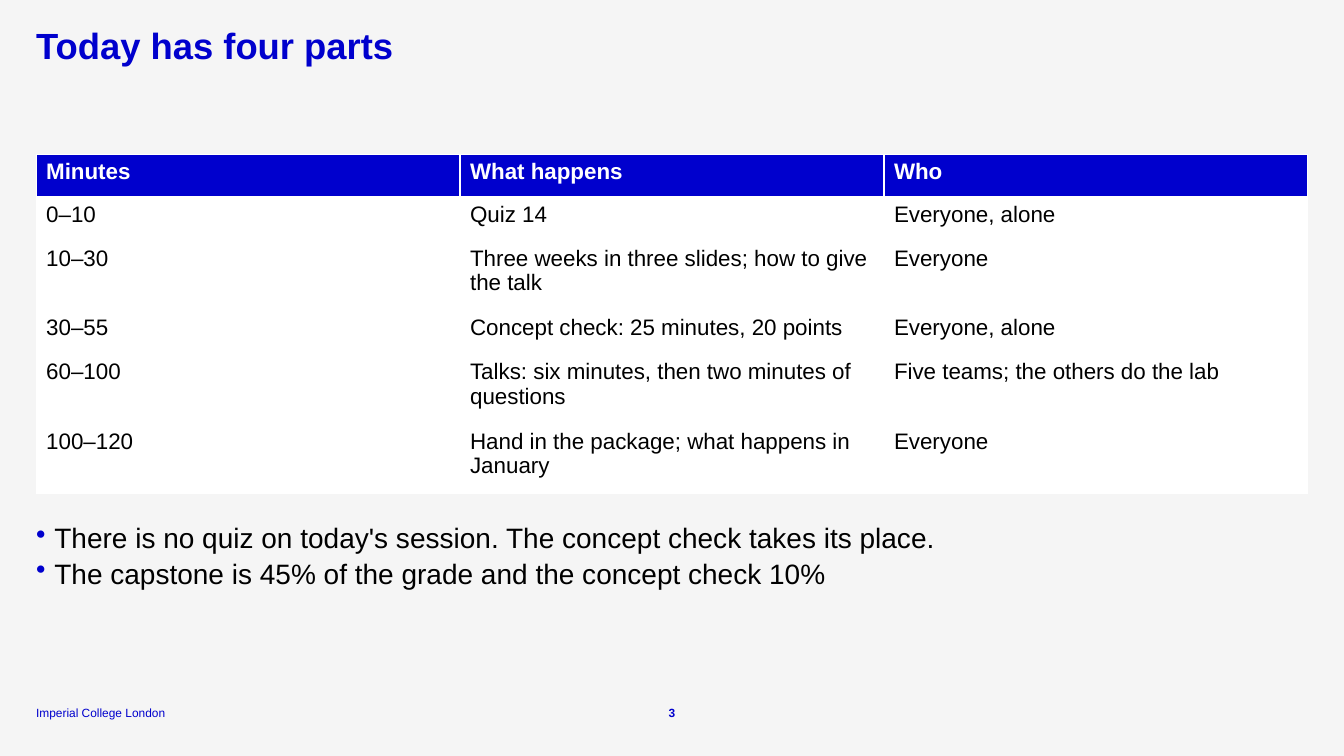
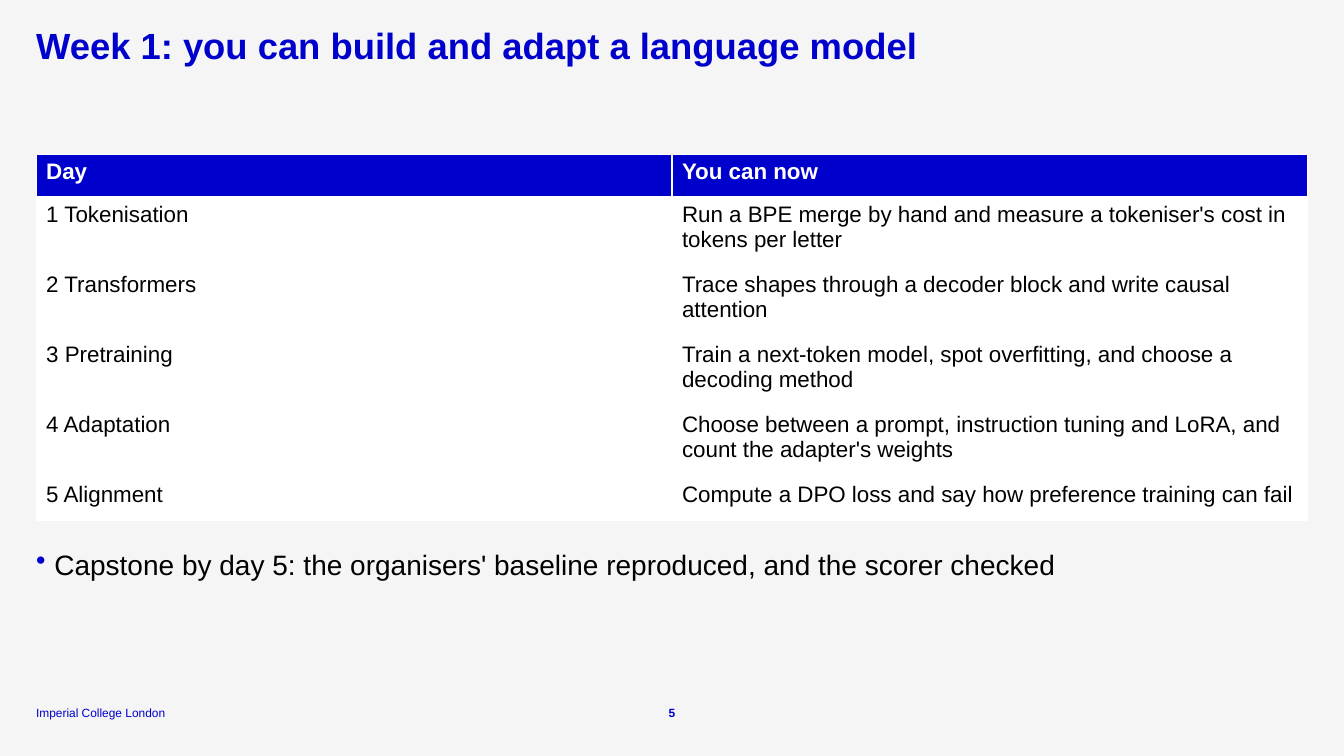
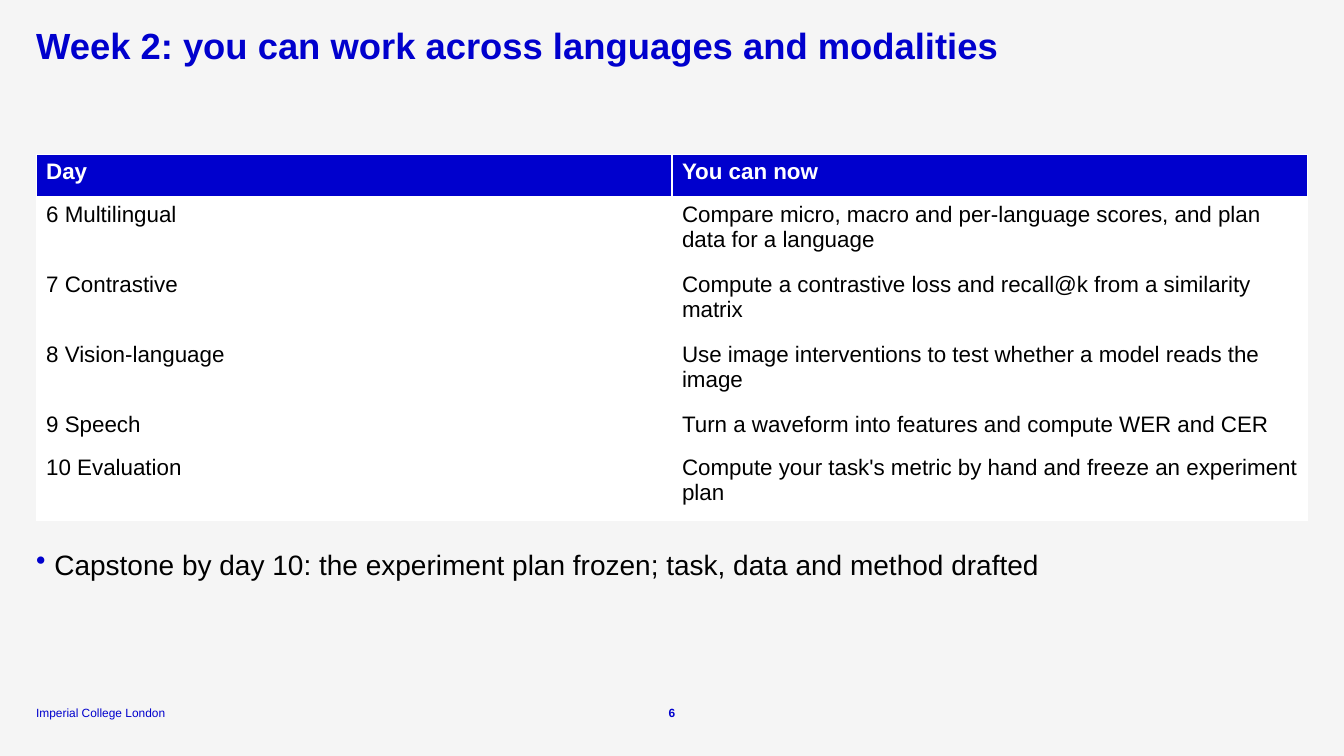
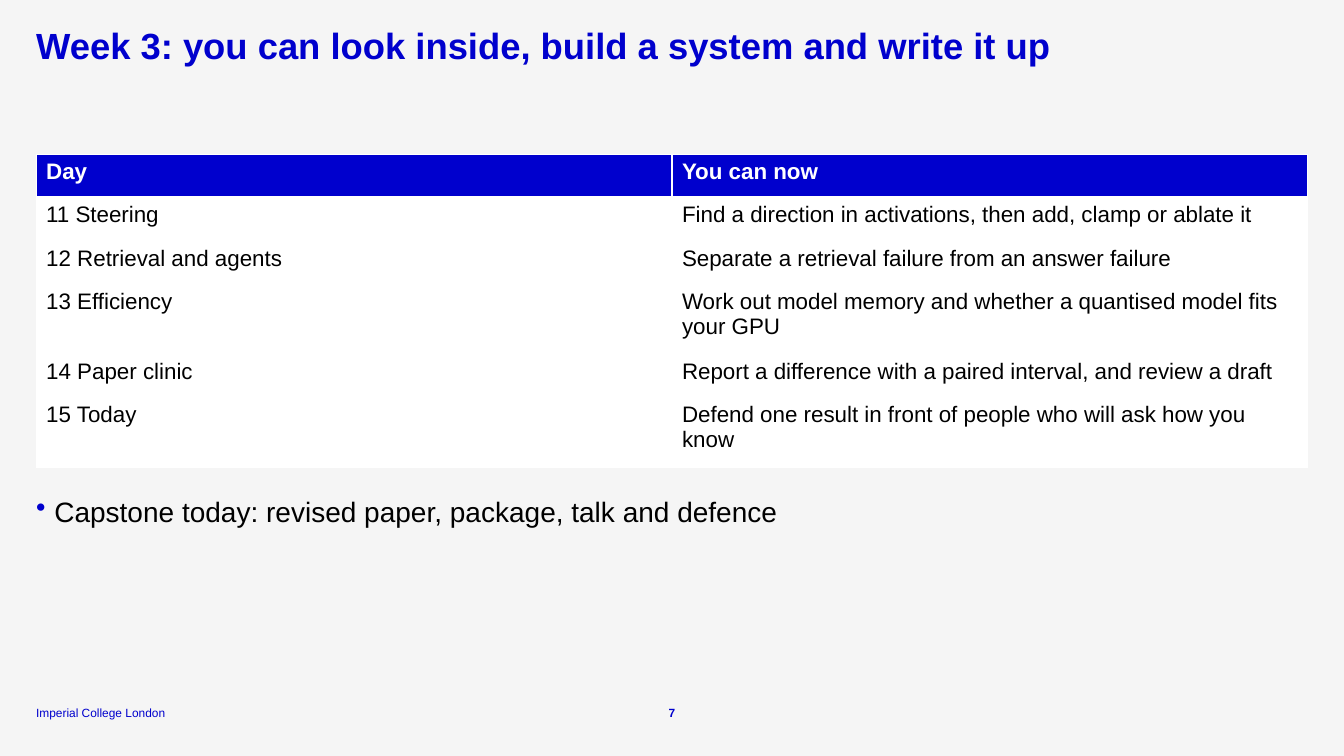
import pptx
import pptx.dml.color
import pptx.enum.text
import pptx.oxml
import pptx.oxml.ns
import pptx.util

Cm = pptx.util.Cm
Pt = pptx.util.Pt
ALIGN = pptx.enum.text.PP_ALIGN
ANCHOR = pptx.enum.text.MSO_ANCHOR

BLUE, BLACK, WHITE, PAPER = "0000CD", "000000", "FFFFFF", "F5F5F5"
FONT = "Arial"
FOOTER = "Imperial College London"

# Lengths in centimetres
SLIDE_WIDTH, SLIDE_HEIGHT = 33.87, 19.05
MARGIN, CONTENT_WIDTH = 0.91, 32.05
TITLE_TOP, TITLE_HEIGHT = 0.71, 1.04
TABLE_TOP, TABLE_GAP = 3.89, 0.64
ROW_HEIGHTS = {1: 1.09, 2: 1.76}
BULLET_HEIGHT, BULLET_INDENT = 1.25, 0.46
FOOTER_TOP, FOOTER_HEIGHT, FOOTER_WIDTH = 17.75, 0.38, 3.94
NUMBER_WIDTH = 0.89

# "lines" counts the text lines of each row below the header
SLIDES = [
    {
        "number": 3,
        "title": "Today has four parts",
        "header": ("Minutes", "What happens", "Who"),
        "rows": [
            ("0–10", "Quiz 14", "Everyone, alone"),
            ("10–30", "Three weeks in three slides; how to give the talk", "Everyone"),
            ("30–55", "Concept check: 25 minutes, 20 points", "Everyone, alone"),
            ("60–100", "Talks: six minutes, then two minutes of questions",
             "Five teams; the others do the lab"),
            ("100–120", "Hand in the package; what happens in January", "Everyone"),
        ],
        "lines": (1, 2, 1, 2, 2),
        "bullets": [
            "There is no quiz on today's session. The concept check takes its place.",
            "The capstone is 45% of the grade and the concept check 10%",
        ],
    },
    {
        "number": 5,
        "title": "Week 1: you can build and adapt a language model",
        "header": ("Day", "You can now"),
        "rows": [
            ("1 Tokenisation",
             "Run a BPE merge by hand and measure a tokeniser's cost in tokens per letter"),
            ("2 Transformers",
             "Trace shapes through a decoder block and write causal attention"),
            ("3 Pretraining",
             "Train a next-token model, spot overfitting, and choose a decoding method"),
            ("4 Adaptation",
             "Choose between a prompt, instruction tuning and LoRA, "
             "and count the adapter's weights"),
            ("5 Alignment",
             "Compute a DPO loss and say how preference training can fail"),
        ],
        "lines": (2, 2, 2, 2, 1),
        "bullets": [
            "Capstone by day 5: the organisers' baseline reproduced, and the scorer checked",
        ],
    },
    {
        "number": 6,
        "title": "Week 2: you can work across languages and modalities",
        "header": ("Day", "You can now"),
        "rows": [
            ("6 Multilingual",
             "Compare micro, macro and per-language scores, and plan data for a language"),
            ("7 Contrastive",
             "Compute a contrastive loss and recall@k from a similarity matrix"),
            ("8 Vision-language",
             "Use image interventions to test whether a model reads the image"),
            ("9 Speech", "Turn a waveform into features and compute WER and CER"),
            ("10 Evaluation",
             "Compute your task's metric by hand and freeze an experiment plan"),
        ],
        "lines": (2, 2, 2, 1, 2),
        "bullets": [
            "Capstone by day 10: the experiment plan frozen; task, data and method drafted",
        ],
    },
    {
        "number": 7,
        "title": "Week 3: you can look inside, build a system and write it up",
        "header": ("Day", "You can now"),
        "rows": [
            ("11 Steering", "Find a direction in activations, then add, clamp or ablate it"),
            ("12 Retrieval and agents", "Separate a retrieval failure from an answer failure"),
            ("13 Efficiency",
             "Work out model memory and whether a quantised model fits your GPU"),
            ("14 Paper clinic",
             "Report a difference with a paired interval, and review a draft"),
            ("15 Today", "Defend one result in front of people who will ask how you know"),
        ],
        "lines": (1, 1, 2, 1, 2),
        "bullets": ["Capstone today: revised paper, package, talk and defence"],
    },
]


def rgb(hex_colour):
    return pptx.dml.color.RGBColor.from_string(hex_colour)


def format_runs(paragraph, size, colour, bold=False):
    for run in paragraph.runs:
        run.font.name = FONT
        run.font.size = Pt(size)
        run.font.bold = bold
        run.font.color.rgb = rgb(colour)


def add_text(slide, box, lines, size, colour, bold=False, spacing=None,
             align=ALIGN.LEFT, anchor=ANCHOR.TOP):
    """Add a text box without insets, one paragraph a line; box is in centimetres."""
    frame = slide.shapes.add_textbox(*map(Cm, box)).text_frame
    frame.word_wrap = True
    frame.vertical_anchor = anchor
    frame.margin_left = frame.margin_top = frame.margin_right = frame.margin_bottom = 0
    frame.text = "\n".join(lines)
    for paragraph in frame.paragraphs:
        paragraph.alignment = align
        paragraph.line_spacing = spacing
        format_runs(paragraph, size, colour, bold)
    return frame


def add_xml(parent, xml):
    namespace = pptx.oxml.ns.nsdecls("a")
    parent.append(pptx.oxml.parse_xml(xml.replace(">", f" {namespace}>", 1)))


def add_bullet(paragraph):
    properties = paragraph._p.get_or_add_pPr()
    properties.set("marL", str(Cm(BULLET_INDENT)))
    properties.set("indent", str(-Cm(BULLET_INDENT)))
    add_xml(properties, f'<a:buClr><a:srgbClr val="{BLUE}"/></a:buClr>')
    add_xml(properties, '<a:buChar char="•"></a:buChar>')


def set_borders(cell, bottom_width):
    properties = cell._tc.get_or_add_tcPr()
    for side, width in (("L", 1), ("R", 1), ("T", 1), ("B", bottom_width)):
        add_xml(properties,
                f'<a:ln{side} w="{Pt(width)}"><a:solidFill><a:srgbClr val="{WHITE}"/>'
                f'</a:solidFill></a:ln{side}>')


def add_schedule(slide, header, rows, lines):
    """Add the table and return its bottom edge in centimetres."""
    heights = [ROW_HEIGHTS[count] for count in (1, *lines)]
    schedule = slide.shapes.add_table(
        len(heights), len(header), Cm(MARGIN), Cm(TABLE_TOP),
        Cm(CONTENT_WIDTH), Cm(sum(heights))).table
    schedule.horz_banding = False
    for column in schedule.columns:
        column.width = Cm(CONTENT_WIDTH / len(header))
    for index, (height, texts) in enumerate(zip(heights, [header, *rows])):
        is_header = index == 0
        schedule.rows[index].height = Cm(height)
        for cell, text in zip(schedule.rows[index].cells, texts):
            cell.text_frame.text = text
            format_runs(cell.text_frame.paragraphs[0], 16,
                        WHITE if is_header else BLACK, is_header)
            set_borders(cell, 3 if is_header else 1)
            cell.fill.solid()
            cell.fill.fore_color.rgb = rgb(BLUE if is_header else WHITE)
    return TABLE_TOP + sum(heights)


def add_footer(slide, number):
    add_text(slide, (MARGIN, FOOTER_TOP, FOOTER_WIDTH, FOOTER_HEIGHT), [FOOTER],
             8.5, BLUE, anchor=ANCHOR.BOTTOM)
    number_left = (SLIDE_WIDTH - NUMBER_WIDTH) / 2
    add_text(slide, (number_left, FOOTER_TOP, NUMBER_WIDTH, FOOTER_HEIGHT), [str(number)],
             8.5, BLUE, bold=True, align=ALIGN.CENTER, anchor=ANCHOR.BOTTOM)


def add_slide(deck, content):
    slide = deck.slides.add_slide(deck.slide_layouts[6])
    add_text(slide, (MARGIN, TITLE_TOP, CONTENT_WIDTH, TITLE_HEIGHT), [content["title"]],
             26, BLUE, bold=True, spacing=0.9)
    table_bottom = add_schedule(slide, content["header"], content["rows"], content["lines"])
    bullets = content["bullets"]
    notes = add_text(
        slide,
        (MARGIN, table_bottom + TABLE_GAP, CONTENT_WIDTH, BULLET_HEIGHT * len(bullets)),
        bullets, 20, BLACK, spacing=1.05)
    for paragraph in notes.paragraphs:
        add_bullet(paragraph)
    add_footer(slide, content["number"])


def main():
    deck = pptx.Presentation()
    deck.slide_width, deck.slide_height = Cm(SLIDE_WIDTH), Cm(SLIDE_HEIGHT)
    background = deck.slide_master.background.fill
    background.solid()
    background.fore_color.rgb = rgb(PAPER)
    for content in SLIDES:
        add_slide(deck, content)
    deck.save("out.pptx")


if __name__ == "__main__":
    main()
